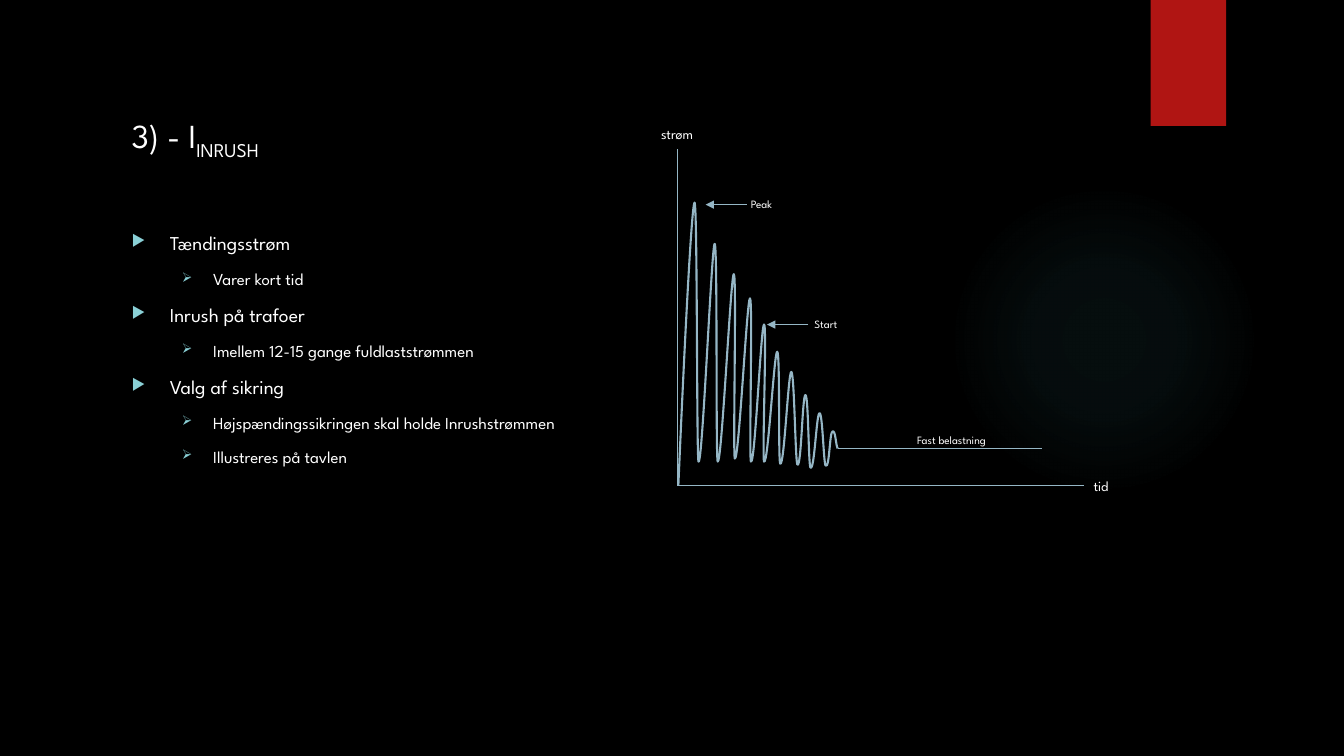
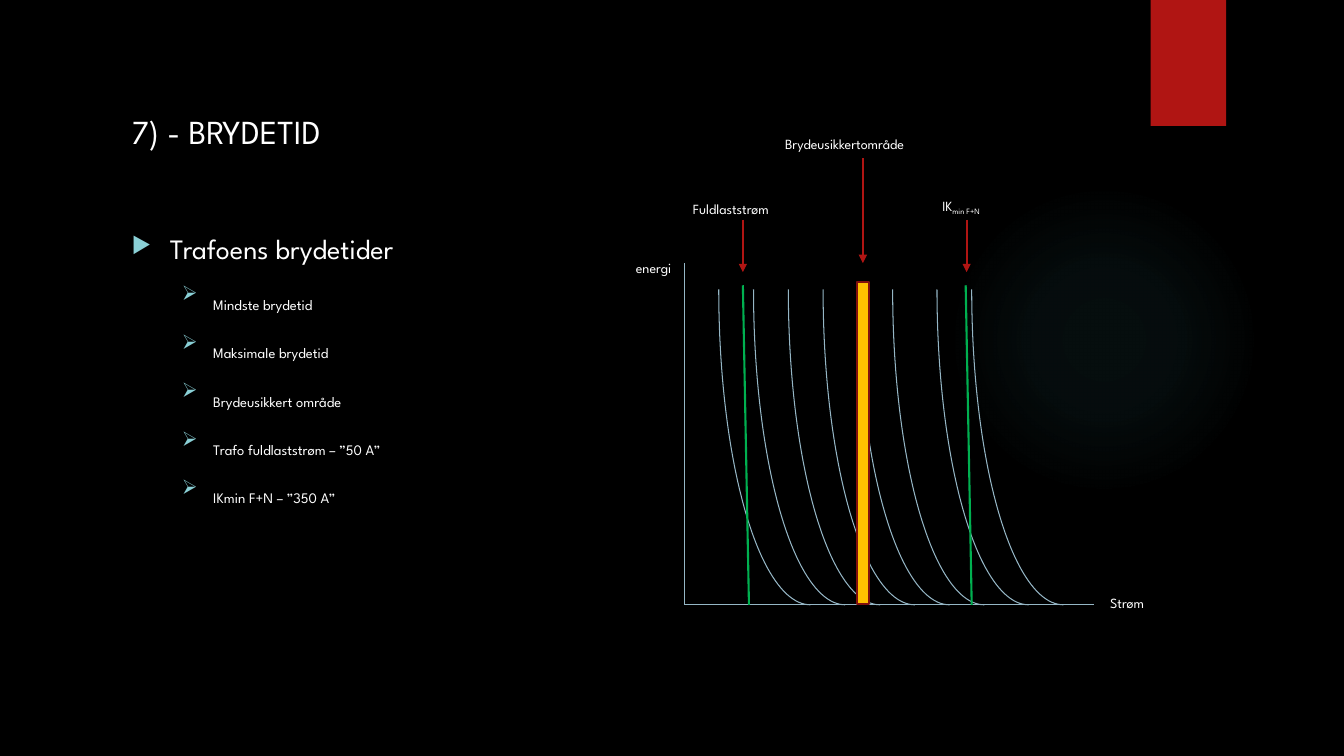
from dataclasses import dataclass

from lxml import etree
from pptx import Presentation
from pptx import util as u
from pptx.dml.color import RGBColor
from pptx.enum import shapes, text
from pptx.oxml import ns, parse_xml

CELL = u.Inches(0.1)


@dataclass(frozen=True)
class Theme:
    """Colours, fonts and type sizes of the presentation."""
    background: str = "000000"
    ink: str = "FFFFFF"
    accent: str = "B01513"
    glow: str = "50B9C1"
    bullet: str = "8AD0D6"
    plot: str = "95B6C5"
    limit: str = "00B050"
    band: str = "FFC000"
    band_edge: str = "82100E"
    font: str = "League Spartan"
    symbols: str = "OpenSymbol"
    title: int = 24
    label: int = 10
    note: int = 8
    thin: float = 0.75
    thick: float = 1.5


@dataclass(frozen=True)
class Box:
    """A region measured in grid columns and rows of a tenth of an inch."""
    left: float
    top: float
    width: float
    height: float

    def point(self, column, row):
        """Return the slide position of a column and row in this box."""
        return int((self.left + column) * CELL), int((self.top + row) * CELL)

    def inner(self, column, row, width, height):
        """Return a box placed relative to this one."""
        return Box(self.left + column, self.top + row, width, height)

    def frame(self):
        """Return left, top, width and height as lengths."""
        return [int(value * CELL) for value in (self.left, self.top, self.width, self.height)]


THEME = Theme()
SLIDE = Box(0, 0, 133.33, 75)
TITLE = Box(12.05, 11, 105, 11.5)
BODY = Box(12.05, 22.45, 97.8, 45.9)
BULLETS = (("▶", 0.38, 0.38), ("➢", 0.81, 0.31))


def color(value):
    """Turn a hex string into a colour."""
    return RGBColor.from_string(value)


def add_run(paragraph, content, size, subscript=False):
    """Add one formatted run to a paragraph."""
    run = paragraph.add_run()
    run.text = content
    run.font.name = THEME.font
    run.font.size = u.Pt(size)
    run.font.color.rgb = color(THEME.ink)
    if subscript:
        run.font._element.set("baseline", "-25000")


def add_shape(slide, kind, box, fill=None, line=None, width=THEME.thin):
    """Add a flat preset shape."""
    shape = slide.shapes.add_shape(kind, *box.frame())
    style_shape(shape, fill, line, width)
    return shape


def style_shape(shape, fill=None, line=None, width=THEME.thin):
    """Set fill and outline and drop the shadow."""
    shape.shadow.inherit = False
    if fill:
        shape.fill.solid()
        shape.fill.fore_color.rgb = color(fill)
    else:
        shape.fill.background()
    if line:
        shape.line.color.rgb = color(line)
        shape.line.width = u.Pt(width)
    else:
        shape.line.fill.background()


def add_line(slide, box, start, end, stroke=THEME.plot, width=THEME.thin, arrow=False):
    """Draw a straight line between two points of a box."""
    connector = slide.shapes.add_connector(
        shapes.MSO_CONNECTOR.STRAIGHT, *box.point(*start), *box.point(*end))
    connector.line.color.rgb = color(stroke)
    connector.line.width = u.Pt(width)
    if arrow:
        etree.SubElement(connector.line._get_or_add_ln(), ns.qn("a:tailEnd"), type="triangle")
    etree.SubElement(connector._element.spPr, ns.qn("a:effectLst"))


def add_label(slide, box, position, runs, size=THEME.label):
    """Place a label made of (text, subscript) runs in a box."""
    label = slide.shapes.add_textbox(*box.inner(*position, 19, 2.7).frame())
    label.text_frame.word_wrap = True
    label.text_frame.auto_size = text.MSO_AUTO_SIZE.SHAPE_TO_FIT_TEXT
    for content, subscript in runs:
        add_run(label.text_frame.paragraphs[0], content, size, subscript)


def add_decoration(slide, layout, box):
    """Draw the soft glow and the red tab and hand them to the layout."""
    glow = add_shape(slide, shapes.MSO_SHAPE.OVAL, box.inner(94.1, 18.3, 30.8, 30.8), THEME.glow)
    stops = "".join(
        f'<a:gs pos="{place}000"><a:srgbClr val="{THEME.glow}">'
        f'<a:alpha val="{alpha}000"/></a:srgbClr></a:gs>'
        for place, alpha in ((0, 7), (36, 6), (69, 0)))
    gradient = parse_xml(
        f'<a:gradFill {ns.nsdecls("a")}><a:gsLst>{stops}</a:gsLst><a:path path="circle">'
        '<a:fillToRect l="50000" t="50000" r="50000" b="50000"/></a:path></a:gradFill>')
    properties = glow._element.spPr
    properties.replace(properties.find(ns.qn("a:solidFill")), gradient)
    tab = add_shape(slide, shapes.MSO_SHAPE.RECTANGLE, box.inner(114.15, 0, 7.5, 12.5), THEME.accent)
    for order, shape in enumerate((glow, tab)):
        shape._element.nvSpPr.cNvPr.set("id", str(100 + order))
        layout.shapes._spTree.insert(2 + order, shape._element)


def place_frame(shape, box):
    """Move a placeholder to a box and return its text frame."""
    shape.left, shape.top, shape.width, shape.height = box.frame()
    frame = shape.text_frame
    frame.word_wrap = True
    frame.auto_size = text.MSO_AUTO_SIZE.NONE
    frame.vertical_anchor = text.MSO_ANCHOR.TOP
    return frame


def add_title(slide, box, runs):
    """Move and fill the title placeholder."""
    paragraph = place_frame(slide.shapes.title, box).paragraphs[0]
    paragraph.alignment = text.PP_ALIGN.LEFT
    paragraph.line_spacing = 0.9
    for content, subscript in runs:
        add_run(paragraph, content, THEME.title, subscript)


def add_bullets(slide, box, items, sizes, subscript_level=None):
    """Fill the body placeholder with two levels of bullets."""
    frame = place_frame(slide.placeholders[1], box)
    for index, (level, content) in enumerate(items):
        paragraph = frame.add_paragraph() if index else frame.paragraphs[0]
        paragraph.level = level
        paragraph.space_before = u.Pt(10 if index else 0)
        symbol, margin, hanging = BULLETS[level]
        properties = paragraph._p.get_or_add_pPr()
        properties.set("marL", str(u.Inches(margin)))
        properties.set("indent", str(-u.Inches(hanging)))
        tint = etree.SubElement(properties, ns.qn("a:buClr"))
        etree.SubElement(tint, ns.qn("a:srgbClr"), val=THEME.bullet)
        etree.SubElement(properties, ns.qn("a:buSzPct"), val="80000")
        etree.SubElement(properties, ns.qn("a:buFont"), typeface=THEME.symbols)
        etree.SubElement(properties, ns.qn("a:buChar"), char=symbol)
        add_run(paragraph, content, sizes[level], level == subscript_level)


def add_axes(slide, box):
    """Draw the vertical and horizontal axis of a diagram."""
    corner = (0, box.height)
    add_line(slide, box, (0, 0), corner)
    add_line(slide, box, (box.width, box.height), corner)


def add_wave(slide, box, start, peaks, troughs):
    """Draw a decaying wave as one curve through peaks and troughs."""
    knots = [start] + [knot for pair in zip(peaks, troughs) for knot in pair]
    places = [box.point(*knot) for knot in knots]
    builder = slide.shapes.build_freeform(*places[0], scale=1.0)
    builder.add_line_segments(places[1:], close=False)
    wave = builder.convert_to_shape()
    style_shape(wave, line=THEME.plot, width=THEME.thick)
    left, top = min(x for x, y in places), min(y for x, y in places)
    segments = list(wave._element.iter(ns.qn("a:lnTo")))
    for index, (segment, before, after) in enumerate(zip(segments, knots, knots[1:])):
        if index == 0:
            handles = (before[0] + 0.6, before[1] - 13.8), (after[0] - 0.3, after[1] + 0.4)
        elif index % 2:
            handles = (before[0] + 0.3, before[1] - 0.1), (after[0] - 0.2, after[1] - 0.4)
        else:
            handles = (before[0] + 0.4, before[1] + 0.4), (after[0] - 0.3, after[1])
        curve = etree.Element(ns.qn("a:cubicBezTo"))
        for x, y in [box.point(*point) for point in (*handles, after)]:
            etree.SubElement(curve, ns.qn("a:pt"), x=str(x - left), y=str(y - top))
        segment.getparent().replace(segment, curve)


def add_inrush_diagram(slide, box):
    """Draw current over time, from the peak to the steady load."""
    add_axes(slide, box)
    add_label(slide, box, (box.width, 32.1), [("tid", False)])
    add_label(slide, box, (-2.6, -2.8), [("strøm", False)])
    peaks = [(1.7, 5.3), (3.7, 9.4), (5.6, 12.4), (7.2, 14.8), (8.6, 17.4),
             (9.9, 20.1), (11.3, 22.1), (12.7, 24.4), (14.1, 26.2), (15.4, 28)]
    troughs = [(2.1, 31), (4, 31), (5.7, 30.7), (7.3, 31), (8.6, 31),
               (10.2, 31.2), (11.9, 31.3), (13.2, 31.6), (14.7, 31.4), (15.9, 29.7)]
    add_wave(slide, box, (0.1, 33.3), peaks, troughs)
    add_line(slide, box, troughs[-1], (36.2, 29.7))
    add_label(slide, box, (22.8, 27.7), [("Fast belastning", False)], THEME.note)
    for name, column, row, offset in (("Peak", 2.8, 5.5, 3.5), ("Start", 8.9, 17.4, 3.7)):
        add_line(slide, box, (column + 4.1, row), (column, row), arrow=True)
        add_label(slide, box, (column + offset, row - 1.25), [(name, False)], THEME.note)


def add_breaking_diagram(slide, box):
    """Draw energy over current with fuse curves and limits."""
    add_axes(slide, box)
    for index in range(8):
        column = 3.4 + 3.45 * index + (0.95 if index > 5 else 0)
        arc = add_shape(slide, shapes.MSO_SHAPE.ARC,
                        box.inner(column, box.height - 62.6, 18.2, 62.6), line=THEME.plot)
        arc.rotation = 180
    labels = [(41.25, 32.4, [("Strøm", False)]),
              (-5.8, -0.8, [("energi", False)]),
              (-0.15, -6.7, [("Fuldlaststrøm", False)]),
              (24.6, -7, [("IK", False), ("min F+N", True)]),
              (9, -13.1, [("Brydeusikkertområde", False)])]
    for column, row, runs in labels:
        add_label(slide, box, (column, row), runs)
    add_shape(slide, shapes.MSO_SHAPE.RECTANGLE, box.inner(17.1, 1.9, 1.2, 31.9),
              THEME.band, THEME.band_edge, THEME.thick)
    for column in (27.9, 5.8):
        add_line(slide, box, (column, 2.2), (column + 0.6, 33.9), THEME.limit, THEME.thick)
    for column, start, end in ((17.7, -10.4, 0), (28, -4.3, 0.9), (5.8, -4.3, 0.9)):
        add_line(slide, box, (column, start), (column, end), THEME.accent, THEME.thick, True)


def add_slide(presentation, title_runs, items, sizes, subscript_level=None):
    """Add a slide with its title and bullets."""
    slide = presentation.slides.add_slide(presentation.slide_layouts[1])
    add_bullets(slide, BODY, items, sizes, subscript_level)
    add_title(slide, TITLE, title_runs)
    return slide


def main():
    """Build and save the presentation."""
    presentation = Presentation()
    presentation.slide_width, presentation.slide_height = SLIDE.frame()[2:]
    background = presentation.slide_master.background.fill
    background.solid()
    background.fore_color.rgb = color(THEME.background)

    inrush = add_slide(presentation, [("3) - I", False), ("INRUSH", True)], [
        (0, "Tændingsstrøm"),
        (1, "Varer kort tid"),
        (0, "Inrush på trafoer"),
        (1, "Imellem 12-15 gange fuldlaststrømmen"),
        (0, "Valg af sikring"),
        (1, "Højspændingssikringen skal holde Inrushstrømmen"),
        (1, "Illustreres på tavlen")], (14, 12))
    add_decoration(inrush, inrush.slide_layout, SLIDE)
    add_inrush_diagram(inrush, Box(67.2, 14.8, 40.3, 33.4))

    breaking = add_slide(presentation, [("7) - BRYDETID", False)], [
        (0, "Trafoens brydetider"),
        (1, "Mindste brydetid"),
        (1, "Maksimale brydetid"),
        (1, "Brydeusikkert område"),
        (1, "Trafo fuldlaststrøm – ”50 A”"),
        (1, "IKmin F+N – ”350 A”")], (20, 18), subscript_level=1)
    add_breaking_diagram(breaking, Box(67.9, 26.1, 40.6, 33.9))
    presentation.save("out.pptx")


if __name__ == "__main__":
    main()
